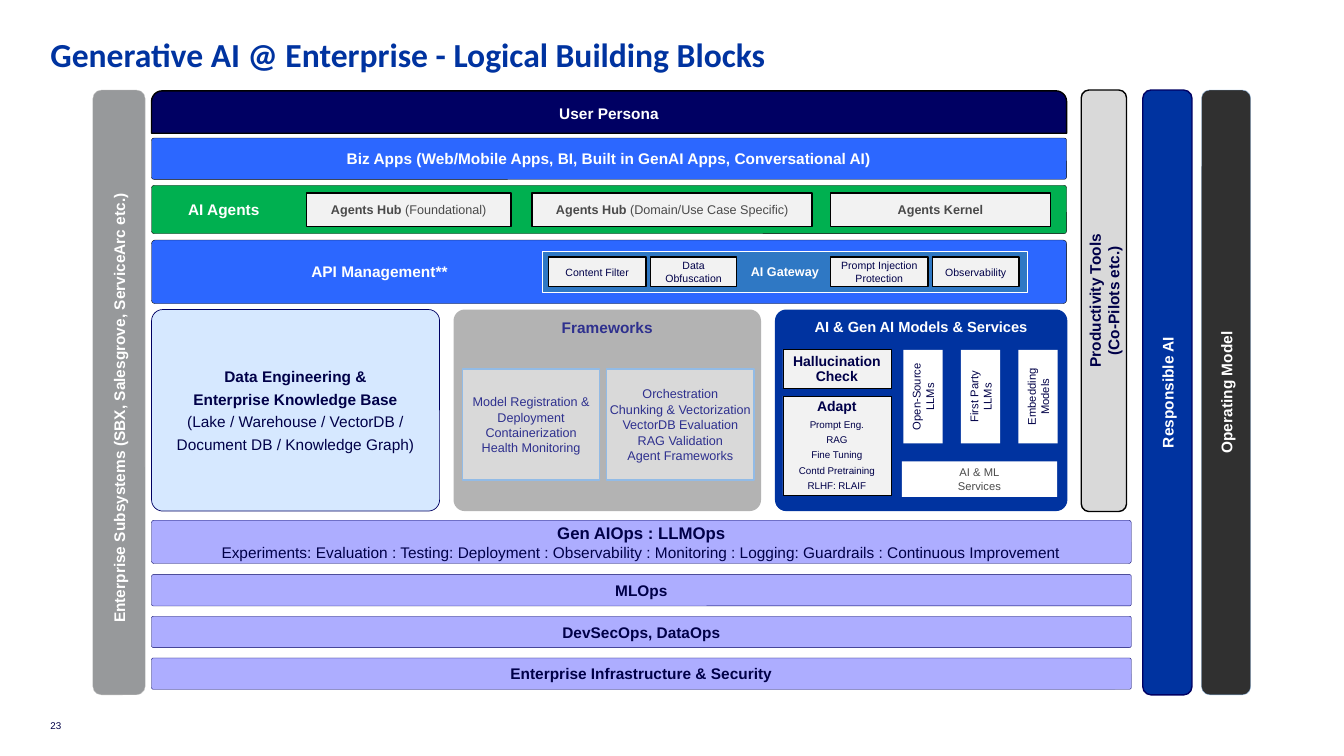
from dataclasses import dataclass

from pptx import Presentation
from pptx.dml.color import RGBColor
from pptx.enum.shapes import MSO_SHAPE
from pptx.enum.text import MSO_ANCHOR, PP_ALIGN
from pptx.util import Cm, Pt

RECT, ROUND = MSO_SHAPE.RECTANGLE, MSO_SHAPE.ROUNDED_RECTANGLE
DOME = MSO_SHAPE.ROUND_2_SAME_RECTANGLE
TOP, MIDDLE, BOTTOM = MSO_ANCHOR.TOP, MSO_ANCHOR.MIDDLE, MSO_ANCHOR.BOTTOM
LEFT, CENTER = PP_ALIGN.LEFT, PP_ALIGN.CENTER


@dataclass(frozen=True)
class Theme:
    head: str = "Calibri"
    body: str = "Arial"
    white: str = "FFFFFF"
    black: str = "000000"
    ink: str = "000048"
    navy: str = "000063"
    royal: str = "0033A0"
    blue: str = "2C67FF"
    steel: str = "2F78C4"
    sky: str = "92BBE6"
    ice: str = "D6E8FF"
    green: str = "00B050"
    lilac: str = "ADADFF"
    violet: str = "2E308E"
    coal: str = "303030"
    slate: str = "4A4A4A"
    stone: str = "97999B"
    ash: str = "B3B3B3"
    rim: str = "BFBFBF"
    silver: str = "D9D9D9"
    pale: str = "F2F2F2"
    title: float = 24
    lead: float = 12
    main: float = 11
    panel: float = 10.5
    sub: float = 10
    card: float = 9
    small: float = 8
    chip: float = 7.5
    tiny: float = 7


T = Theme()
CURVE = 0.056


def inside(box, x, y, w, h):
    """Turn a place within a box into a place on the slide."""
    return box[0] + x, box[1] + y, w, h


def style(para, size, color, bold, font=T.body):
    for run in para.runs:
        run.font.name, run.font.size, run.font.bold = font, Pt(size), bold
        run.font.color.rgb = RGBColor.from_string(color)


def label(slide, box, text, size, color, bold, font, anchor):
    area = slide.shapes.add_textbox(*map(Cm, box))
    frame = area.text_frame
    frame.word_wrap, frame.vertical_anchor = True, anchor
    frame.margin_left = frame.margin_right = 0
    frame.margin_top = frame.margin_bottom = 0
    frame.text = text
    style(frame.paragraphs[0], size, color, bold, font)


def block(slide, box, text, fill, color, size=T.main, bold=True, line=None,
          weight=0.25, kind=ROUND, curve=None, anchor=MIDDLE, align=CENTER,
          side=0.25, lead=None):
    """Draw a filled shape with text; side is the left and right inset."""
    shape = slide.shapes.add_shape(kind, *map(Cm, box))
    shape.shadow.inherit = False
    shape.fill.solid()
    shape.fill.fore_color.rgb = RGBColor.from_string(fill)
    if line:
        shape.line.color.rgb = RGBColor.from_string(line)
        shape.line.width = Pt(weight)
    else:
        shape.line.fill.background()
    if curve is not None:
        shape.adjustments[0] = curve
    frame = shape.text_frame
    frame.word_wrap, frame.vertical_anchor = True, anchor
    frame.margin_left = frame.margin_right = Cm(side)
    frame.text = text
    for para in frame.paragraphs:
        para.alignment = align
        if lead:
            para.line_spacing = Pt(lead)
        style(para, size, color, bold)
    return shape


def pillar(slide, box, text, fill, color, line, weight, drop=0):
    """Draw a tall bar with text that reads upwards."""
    shape = block(slide, box, text, fill, color, line=line, weight=weight,
                  side=0)
    frame = shape.text_frame
    frame.margin_top, frame.margin_bottom = Cm(drop), 0
    shape.text_frame._txBody.bodyPr.set("vert", "vert270")


def agents(slide, box):
    bar = block(slide, box, "AI Agents", T.green, T.white, line=T.black,
                curve=CURVE, align=LEFT)
    bar.text_frame.margin_left = Cm(0.9)
    for x, w, name, note in ((3.9, 5.16, "Agents Hub", " (Foundational)"),
                             (9.59, 7.06, "Agents Hub",
                              " (Domain/Use Case Specific)"),
                             (17.11, 5.54, "Agents Kernel", "")):
        card = block(slide, inside(box, x, 0.19, w, 0.85), name, T.pale,
                     T.slate, T.card, line=T.black, weight=1, kind=RECT)
        if note:
            para = card.text_frame.paragraphs[0]
            para.add_run().text = note
            style(para, T.card, T.slate, True)
            para.runs[1].font.bold = False


def gateway(slide, box):
    bar = block(slide, box, "API Management**", T.blue, T.white,
                line=T.black, curve=CURVE, align=LEFT)
    bar.text_frame.margin_left = Cm(4)
    gate = inside(box, 9.85, 0.28, 12.22, 1.04)
    block(slide, gate, "AI Gateway", T.steel, T.white, T.card, line=T.white,
          curve=0)
    for x, w, text in ((0.15, 2.46, "Content Filter"),
                       (2.72, 2.18, "Data Obfuscation"),
                       (7.26, 2.46, "Prompt Injection Protection"),
                       (9.83, 2.18, "Observability")):
        block(slide, inside(gate, x, 0.15, w, 0.74), text, T.pale, T.ink,
              T.chip, False, T.black, 1, RECT)


def data(slide, box):
    shape = block(slide, box, "Data Engineering &\nEnterprise Knowledge Base\n"
                  "(Lake / Warehouse / VectorDB /\n"
                  "Document DB / Knowledge Graph)",
                  T.ice, T.ink, line=T.navy, weight=0.5, curve=CURVE)
    for row, para in enumerate(shape.text_frame.paragraphs):
        para.space_after = Pt(3)
        style(para, T.main, T.ink, row < 2)


def frames(slide, box):
    block(slide, box, "Frameworks", T.ash, T.violet, curve=CURVE, anchor=TOP)
    for x, w, text in (
            (0.23, 3.45, "Model Registration & Deployment\n"
             "Containerization\nHealth Monitoring"),
            (3.86, 3.71, "Orchestration\nChunking & Vectorization\n"
             "VectorDB Evaluation\nRAG Validation\nAgent Frameworks")):
        block(slide, inside(box, x, 1.5, w, 2.8), text, T.silver, T.violet,
              T.card, False, T.sky, 1, curve=0, side=0, lead=11)


def models(slide, box):
    block(slide, box, "AI & Gen AI Models & Services", T.royal, T.white,
          T.panel, curve=CURVE, anchor=TOP)
    for col, text in enumerate(("Open-Source LLMs", "First Party LLMs",
                                "Embedding Models")):
        spot = inside(box, 2.55 + 1.45 * col, 1.7, 2.36, 0.99)
        block(slide, spot, text, T.white, T.ink, T.small, False,
              curve=0).rotation = 270
    block(slide, inside(box, 3.2, 3.83, 3.91, 0.89), "AI & ML\nServices",
          T.white, T.slate, T.small, False, curve=0)
    block(slide, inside(box, 0.2, 1.01, 2.72, 0.97), "Hallucination Check",
          T.pale, T.ink, T.sub, line=T.black, curve=0, side=0.1, lead=11)
    adapt = block(slide, inside(box, 0.2, 2.18, 2.72, 2.49),
                  "Adapt\nPrompt Eng.\nRAG\nFine Tuning\n"
                  "Contd Pretraining\nRLHF: RLAIF", T.pale, T.ink, T.tiny,
                  False, T.black, curve=0, lead=11)
    style(adapt.text_frame.paragraphs[0], T.sub, T.ink, True)


def ops(slide, box):
    """Stack the operations bars, the tall one first."""
    x, y, w, _ = box
    top = block(slide, (x, y, w, 1.09), "Gen AIOps : LLMOps\n"
                "Experiments: Evaluation : Testing: Deployment : Observability"
                " : Monitoring : Logging: Guardrails : Continuous Improvement",
                T.lilac, T.ink, bold=False, line=T.navy, curve=CURVE)
    style(top.text_frame.paragraphs[0], T.lead, T.ink, True)
    for row, text in enumerate(("MLOps", "DevSecOps, DataOps",
                                "Enterprise Infrastructure & Security")):
        block(slide, inside(box, 0, 1.37 + 1.05 * row, w, 0.79), text,
              T.lilac, T.ink, line=T.navy, curve=CURVE)


def main():
    deck = Presentation()
    deck.slide_width, deck.slide_height = Cm(33.87), Cm(19.05)
    slide = deck.slides.add_slide(deck.slide_layouts[6])
    label(slide, (1.27, 0.86, 30.02, 0.86),
          "Generative AI @ Enterprise - Logical Building Blocks",
          T.title, T.royal, True, T.head, TOP)
    label(slide, (1.27, 17.4, 1, 1.02), "23", T.tiny, T.ink, False, T.body,
          BOTTOM)

    pillar(slide, (2.34, 2.27, 1.32, 15.24),
           "Enterprise Subsystems (SBX, Salesgrove, ServiceArc etc.)",
           T.stone, T.white, T.rim, 0.25, 0.79)
    pillar(slide, (27.25, 2.27, 1.14, 10.62),
           "Productivity Tools\n(Co-Pilots etc.)", T.silver, T.ink, T.black, 1)
    pillar(slide, (28.8, 2.27, 1.24, 15.24), "Responsible AI", T.royal,
           T.white, T.navy, 1)
    pillar(slide, (30.28, 2.27, 1.24, 15.24), "Operating Model", T.coal,
           T.white, T.sky, 0.25)

    left, wide = 3.82, 23.06
    block(slide, (left, 2.29, wide, 1.07), "User Persona", T.navy, T.white,
          line=T.black, weight=1, kind=DOME, curve=0.25)
    block(slide, (left, 3.48, wide, 1.04), "Biz Apps (Web/Mobile Apps, BI, "
          "Built in GenAI Apps, Conversational AI)", T.blue, T.white,
          line=T.black, curve=CURVE)
    agents(slide, (left, 4.67, wide, 1.22))
    gateway(slide, (left, 6.05, wide, 1.6))
    data(slide, (left, 7.8, 7.26, 5.08))
    frames(slide, (11.43, 7.8, 7.75, 5.08))
    models(slide, (19.53, 7.8, 7.37, 5.08))
    ops(slide, (left, 13.11, 24.69, 4.27))
    deck.save("out.pptx")


if __name__ == "__main__":
    main()
